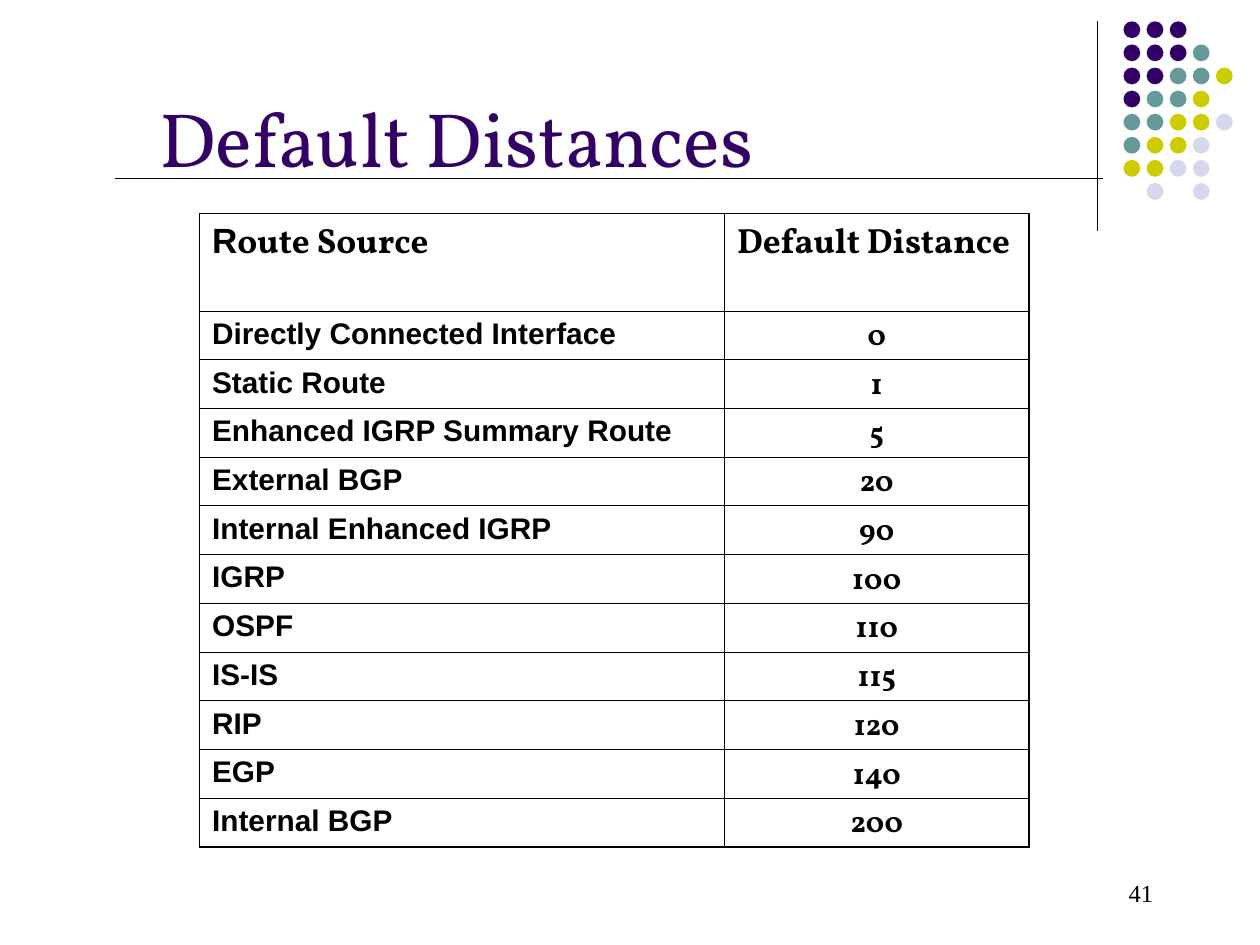
from lxml import etree
from pptx import Presentation
from pptx.dml.color import RGBColor
from pptx.enum.shapes import MSO_CONNECTOR, MSO_SHAPE
from pptx.enum.text import MSO_ANCHOR, MSO_AUTO_SIZE, PP_ALIGN
from pptx.oxml.ns import qn
from pptx.util import Pt

STRAIGHT = MSO_CONNECTOR.STRAIGHT
OVAL = MSO_SHAPE.OVAL
TOP, MIDDLE = MSO_ANCHOR.TOP, MSO_ANCHOR.MIDDLE
FIT_SHAPE = MSO_AUTO_SIZE.SHAPE_TO_FIT_TEXT
LEFT, CENTER, RIGHT = PP_ALIGN.LEFT, PP_ALIGN.CENTER, PP_ALIGN.RIGHT

BLACK = RGBColor(0x00, 0x00, 0x00)
PURPLE = RGBColor(0x33, 0x00, 0x66)
TEAL = RGBColor(0x66, 0x99, 0x99)
OLIVE = RGBColor(0xCC, 0xCC, 0x00)
LAVENDER = RGBColor(0xD8, 0xD8, 0xEC)
SERIF, SANS, NUMBER_FONT = "Vollkorn", "Arial", "Times New Roman"

DOT_COLORS = {"P": PURPLE, "T": TEAL, "O": OLIVE, "L": LAVENDER}
DOT_ROWS = ["PPP", "PPPT", "PPTTO", "PTTO", "TTOOL", "TOOL", "OOLL", ".L.L"]
DOT_LEFT, DOT_TOP, DOT_PITCH, DOT_SIZE = 642, 12.2, 13.2, 9.6

DISTANCES = [
    ("Route Source", "Default Distance"),
    ("Directly Connected Interface", "0"),
    ("Static Route", "1"),
    ("Enhanced IGRP Summary Route", "5"),
    ("External BGP", "20"),
    ("Internal Enhanced IGRP", "90"),
    ("IGRP", "100"),
    ("OSPF", "110"),
    ("IS-IS", "115"),
    ("RIP", "120"),
    ("EGP", "140"),
    ("Internal BGP", "200"),
]
COLUMN_WIDTHS = [300, 174]
HEADER_HEIGHT, ROW_HEIGHT = 55.7, 27.84
OUTER_BORDER, INNER_BORDER = 1.08, 0.45


def style(paragraph, font_name, size, color, bold=False, align=LEFT):
    paragraph.alignment = align
    font = paragraph.font
    font.name, font.size, font.bold = font_name, Pt(size), bold
    font.color.rgb = color


def add_border(cell, side, width):
    """Draw one black cell edge; side is L, R, T or B."""
    edge = etree.SubElement(cell._tc.get_or_add_tcPr(), qn(f"a:ln{side}"), w=str(Pt(width)))
    fill = etree.SubElement(edge, qn("a:solidFill"))
    etree.SubElement(fill, qn("a:srgbClr"), val=str(BLACK))


prs = Presentation()
prs.slide_width, prs.slide_height = Pt(720), Pt(540)
slide = prs.slides.add_slide(prs.slide_layouts[5])
shapes = slide.shapes

# Title
title = shapes.title
title.left, title.top, title.width, title.height = Pt(84), Pt(48), Pt(528), Pt(60.5)
title.text_frame.text = "Default Distances"
title.text_frame.vertical_anchor = TOP
title.text_frame.auto_size = FIT_SHAPE
style(title.text_frame.paragraphs[0], SERIF, 44, PURPLE)

# Vertical and horizontal rules
for x1, y1, x2, y2 in [(627, 12, 627, 132), (66, 102, 630, 102)]:
    rule = shapes.add_connector(STRAIGHT, Pt(x1), Pt(y1), Pt(x2), Pt(y2))
    rule.line.color.rgb = BLACK
    rule.line.width = Pt(0.75)
    etree.SubElement(rule._element.spPr, qn("a:effectLst"))

# Dot pattern
dots = shapes.add_group_shape()
for row, codes in enumerate(DOT_ROWS):
    for col, code in enumerate(codes):
        if code not in DOT_COLORS:
            continue
        dot = dots.shapes.add_shape(
            OVAL, Pt(DOT_LEFT + col * DOT_PITCH), Pt(DOT_TOP + row * DOT_PITCH),
            Pt(DOT_SIZE), Pt(DOT_SIZE))
        dot.shadow.inherit = False
        dot.fill.solid()
        dot.fill.fore_color.rgb = DOT_COLORS[code]
        dot.line.fill.background()

# Distance table
last_row, last_col = len(DISTANCES) - 1, len(COLUMN_WIDTHS) - 1
table = shapes.add_table(
    len(DISTANCES), len(COLUMN_WIDTHS), Pt(114), Pt(122),
    Pt(sum(COLUMN_WIDTHS)), Pt(HEADER_HEIGHT + last_row * ROW_HEIGHT)).table
table.first_row = table.horz_banding = False
for column, width in zip(table.columns, COLUMN_WIDTHS):
    column.width = Pt(width)

for row, values in enumerate(DISTANCES):
    is_header = row == 0
    table.rows[row].height = Pt(HEADER_HEIGHT if is_header else ROW_HEIGHT)
    for col, value in enumerate(values):
        cell = table.cell(row, col)
        cell.text = value
        style(cell.text_frame.paragraphs[0],
              SERIF if is_header or col else SANS,
              20 if is_header else 17, BLACK, bold=True,
              align=CENTER if col and not is_header else LEFT)
        on_edge = {"L": col == 0, "R": col == last_col,
                   "T": is_header, "B": row == last_row}
        for side, outer in on_edge.items():
            add_border(cell, side, OUTER_BORDER if outer else INNER_BORDER)
        cell.fill.background()

# The first letter of the header is set in the sans font
route_source = table.cell(0, 0).text_frame.paragraphs[0]
initial = route_source.runs[0]
initial.text = "R"
initial.font.name = SANS
route_source.add_run().text = "oute Source"

# Slide number
page_number = shapes.add_textbox(Pt(516), Pt(492), Pt(150), Pt(36)).text_frame
page_number.word_wrap = True
page_number.vertical_anchor = MIDDLE
page_number.text = "41"
style(page_number.paragraphs[0], NUMBER_FONT, 14, BLACK, align=RIGHT)

prs.save("out.pptx")
